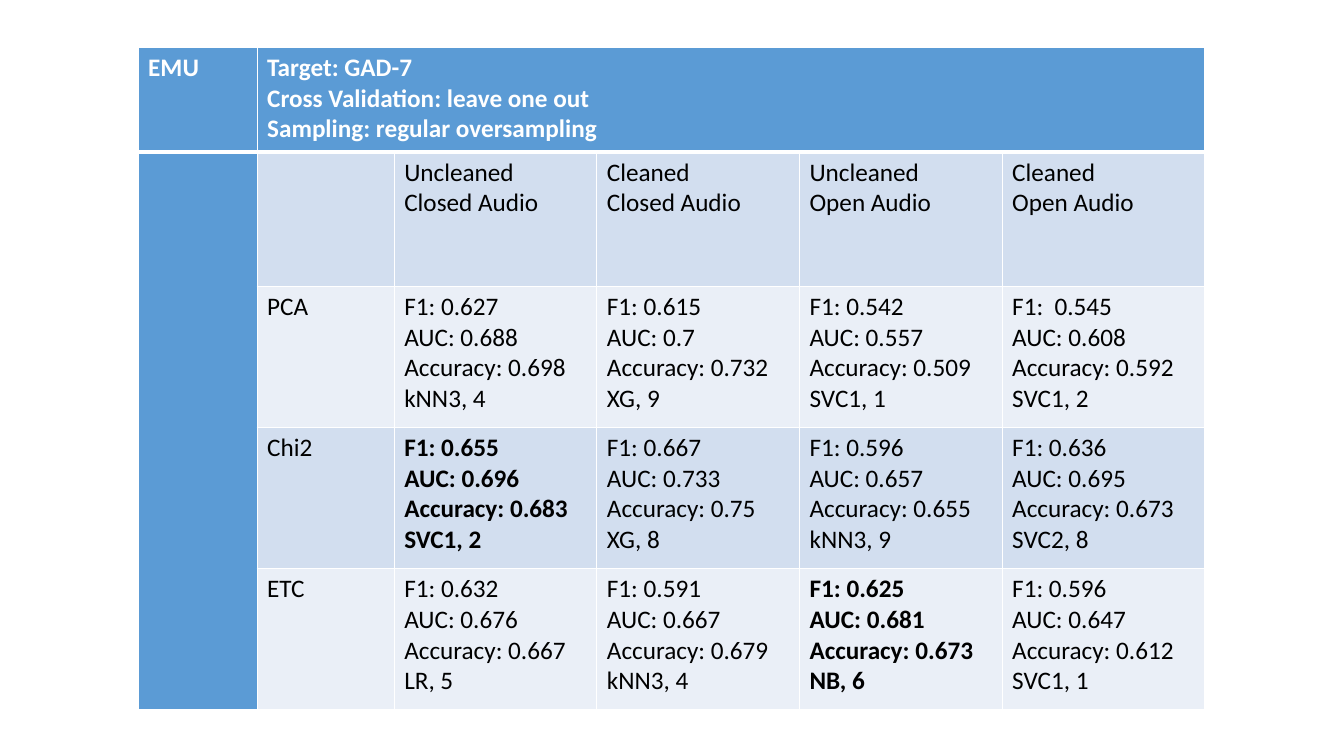
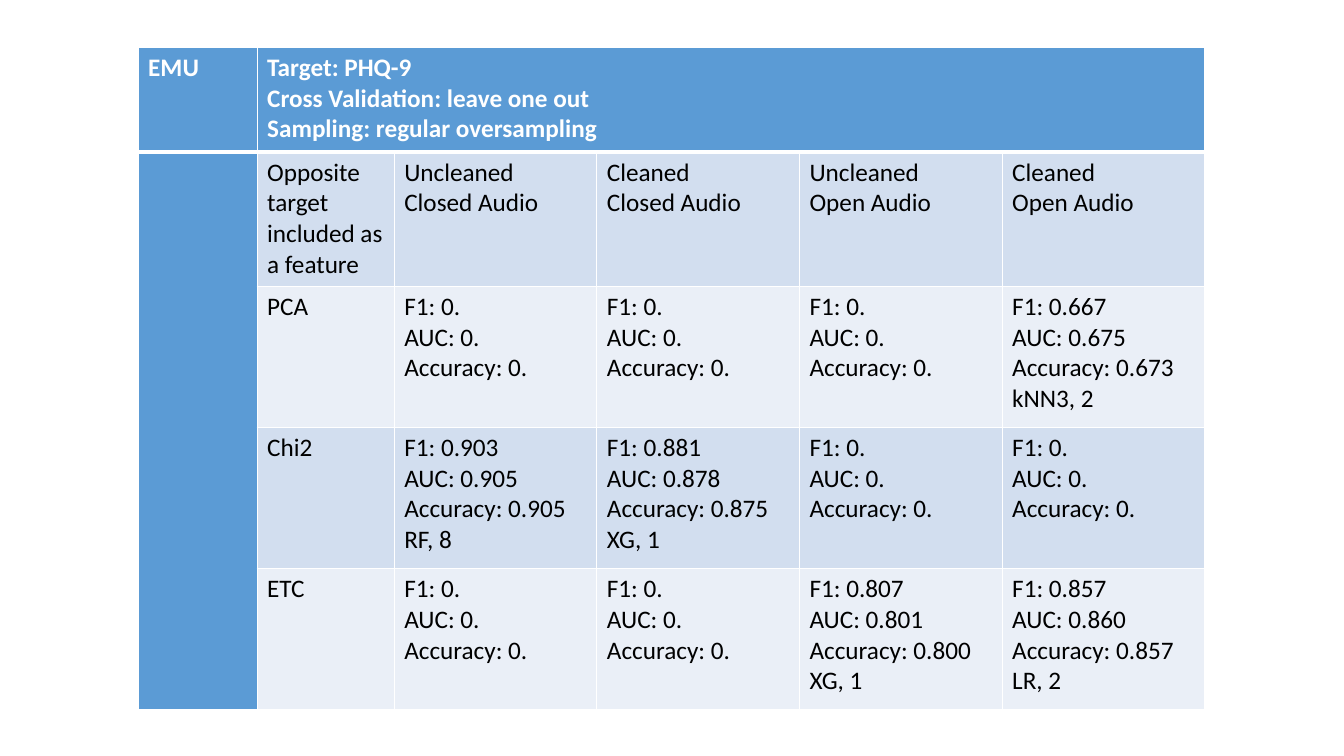
from lxml.etree import SubElement
from pptx import Presentation
from pptx.dml.color import RGBColor
from pptx.oxml.ns import qn
from pptx.util import Inches, Pt

WHITE = RGBColor(0xFF, 0xFF, 0xFF)
BLACK = RGBColor(0x00, 0x00, 0x00)
HEADER_BLUE = RGBColor(0x5B, 0x9B, 0xD5)
BAND_DARK = RGBColor(0xD2, 0xDE, 0xEF)
BAND_LIGHT = RGBColor(0xEA, 0xEF, 0xF7)

FONT_NAME = "Calibri"
FONT_SIZE = Pt(18)
THIN, THICK = 1, 3

TABLE_LEFT, TABLE_TOP = 1.37, 0.47
COLUMN_WIDTHS = [1.18, 1.36] + [2.01] * 4
ROW_HEIGHTS = [1.04, 1.33] + [1.4] * 3

AUDIO_SETS = [
    [cleaning, audio]
    for audio in ("Closed Audio", "Open Audio")
    for cleaning in ("Uncleaned", "Cleaned")
]
METRICS = ("F1", "AUC", "Accuracy")
PENDING = ("0.", "0.", "0.")

# Each score: F1, AUC, accuracy, then the model and its feature count
GAD_SCORES = {
    "PCA": [
        ("0.627", "0.688", "0.698", "kNN3, 4"),
        ("0.615", "0.7", "0.732", "XG, 9"),
        ("0.542", "0.557", "0.509", "SVC1, 1"),
        (" 0.545", "0.608", "0.592", "SVC1, 2"),
    ],
    "Chi2": [
        ("0.655", "0.696", "0.683", "SVC1, 2"),
        ("0.667", "0.733", "0.75", "XG, 8"),
        ("0.596", "0.657", "0.655", "kNN3, 9"),
        ("0.636", "0.695", "0.673", "SVC2, 8"),
    ],
    "ETC": [
        ("0.632", "0.676", "0.667", "LR, 5"),
        ("0.591", "0.667", "0.679", "kNN3, 4"),
        ("0.625", "0.681", "0.673", "NB, 6"),
        ("0.596", "0.647", "0.612", "SVC1, 1"),
    ],
}
GAD_HIGHLIGHTS = {("Chi2", 0), ("ETC", 2)}

PHQ_SCORES = {
    "PCA": [PENDING, PENDING, PENDING, ("0.667", "0.675", "0.673", "kNN3, 2")],
    "Chi2": [
        ("0.903", "0.905", "0.905", "RF, 8"),
        ("0.881", "0.878", "0.875", "XG, 1"),
        PENDING,
        PENDING,
    ],
    "ETC": [
        PENDING,
        PENDING,
        ("0.807", "0.801", "0.800", "XG, 1"),
        ("0.857", "0.860", "0.857", "LR, 2"),
    ],
}


def score_lines(score):
    """Label the metric values and keep the model line, if any, as it is."""
    labelled = [f"{metric}: {value}" for metric, value in zip(METRICS, score)]
    return labelled + list(score[len(METRICS):])


def write_lines(cell, lines, color=BLACK, bold=False):
    text_frame = cell.text_frame
    for index, line in enumerate(lines):
        paragraph = text_frame.add_paragraph() if index else text_frame.paragraphs[0]
        run = paragraph.add_run()
        run.text = line
        run.font.name = FONT_NAME
        run.font.size = FONT_SIZE
        run.font.bold = bold
        run.font.color.rgb = color


def set_borders(cell, top, bottom):
    """Draw white borders; the widths are in points."""
    properties = cell._tc.get_or_add_tcPr()
    widths = {"a:lnL": THIN, "a:lnR": THIN, "a:lnT": top, "a:lnB": bottom}
    for tag, width in widths.items():
        line = SubElement(properties, qn(tag), w=str(Pt(width)))
        fill = SubElement(line, qn("a:solidFill"))
        SubElement(fill, qn("a:srgbClr"), val=str(WHITE))


def style_cells(table):
    for row_index, row in enumerate(table.rows):
        band = BAND_DARK if row_index % 2 else BAND_LIGHT
        for column_index, cell in enumerate(row.cells):
            set_borders(
                cell,
                top=THICK if row_index == 1 else THIN,
                bottom=THICK if row_index == 0 else THIN,
            )
            is_header = row_index == 0 or column_index == 0
            cell.fill.solid()
            cell.fill.fore_color.rgb = HEADER_BLUE if is_header else band


def add_grid(slide):
    """Add the styled empty table with its merged heading and side cells."""
    table = slide.shapes.add_table(
        len(ROW_HEIGHTS), len(COLUMN_WIDTHS),
        Inches(TABLE_LEFT), Inches(TABLE_TOP),
        Inches(sum(COLUMN_WIDTHS)), Inches(sum(ROW_HEIGHTS)),
    ).table
    for column, width in zip(table.columns, COLUMN_WIDTHS):
        column.width = Inches(width)
    for row, height in zip(table.rows, ROW_HEIGHTS):
        row.height = Inches(height)
    style_cells(table)
    table.cell(0, 1).merge(table.cell(0, len(COLUMN_WIDTHS) - 1))
    table.cell(1, 0).merge(table.cell(len(ROW_HEIGHTS) - 1, 0))
    return table


def add_results_slide(presentation, target, scores, note=(), highlights=()):
    slide = presentation.slides.add_slide(
        presentation.slide_layouts.get_by_name("Blank")
    )
    table = add_grid(slide)
    heading = [
        f"Target: {target}",
        "Cross Validation: leave one out",
        "Sampling: regular oversampling",
    ]
    write_lines(table.cell(0, 0), ["EMU"], WHITE, bold=True)
    write_lines(table.cell(0, 1), heading, WHITE, bold=True)
    write_lines(table.cell(1, 1), note)
    for column, audio_set in enumerate(AUDIO_SETS, start=2):
        write_lines(table.cell(1, column), audio_set)
    for row, (method, method_scores) in enumerate(scores.items(), start=2):
        write_lines(table.cell(row, 1), [method])
        for index, score in enumerate(method_scores):
            write_lines(
                table.cell(row, index + 2),
                score_lines(score),
                bold=(method, index) in highlights,
            )


def main():
    presentation = Presentation()
    presentation.slide_width = Inches(13.33)
    presentation.slide_height = Inches(7.5)
    add_results_slide(presentation, "GAD-7", GAD_SCORES, highlights=GAD_HIGHLIGHTS)
    add_results_slide(
        presentation, "PHQ-9", PHQ_SCORES,
        note=["Opposite target included as a feature"],
    )
    presentation.save("out.pptx")


if __name__ == "__main__":
    main()
